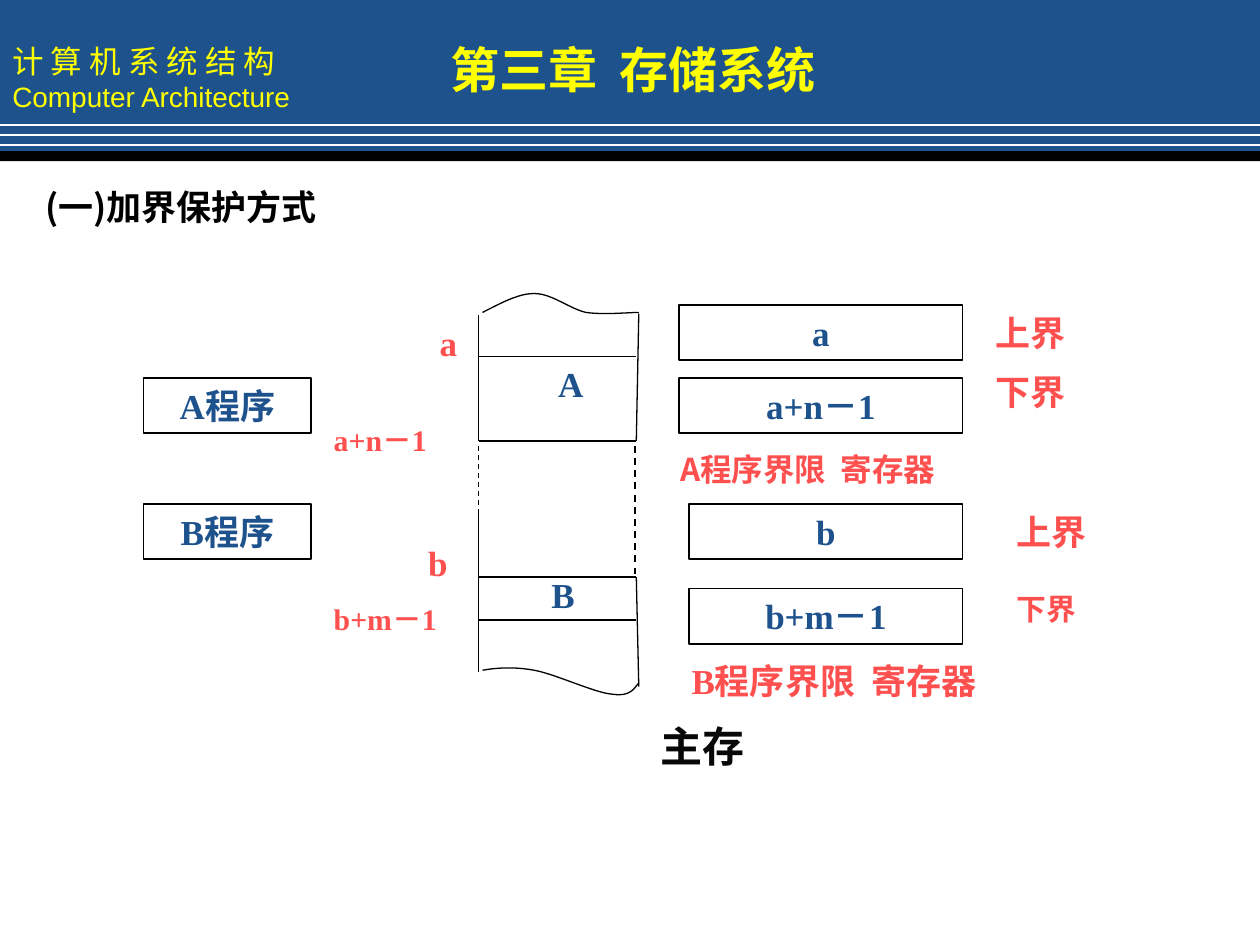
from lxml.etree import SubElement
from pptx import Presentation
from pptx.dml.color import RGBColor
from pptx.enum.dml import MSO_LINE_DASH_STYLE as Dash
from pptx.enum.shapes import MSO_CONNECTOR as Connector, MSO_SHAPE as Shape
from pptx.enum.text import MSO_ANCHOR as Anchor, MSO_AUTO_SIZE as AutoSize, PP_ALIGN as Align
from pptx.oxml.ns import qn
from pptx.util import Inches, Pt

BLUE = RGBColor(0x1D, 0x52, 0x8D)
YELLOW = RGBColor(0xFF, 0xFF, 0x00)
RED = RGBColor(0xFF, 0x50, 0x50)
BLACK = RGBColor(0, 0, 0)
INK = RGBColor(8, 8, 8)
WHITE = RGBColor(0xFF, 0xFF, 0xFF)
CJK, SERIF, SANS = "Noto Sans CJK SC", "Times New Roman", "Arial"

WIDTH, HEIGHT = 10, 7.5
LEFT, RIGHT, EDGE = 3.8, 5.05, 5.07
A_TOP, A_END, B_TOP, B_END = 2.83, 3.5, 4.58, 4.92
BOX_HEIGHT = 0.44

COURSE = [("计 算 机 系 统 结 构", 18, CJK), ("Computer Architecture", 16, SANS)]
TITLE = "第三章  存储系统"
HEADER_RULES = [0.99, 1.07, 1.15]

BOXES = [
    ("A程序", 1.14, 3, 1.33),
    ("B程序", 1.14, 4, 1.33),
    ("a", 5.39, 2.42, 2.25),
    ("a+n－1", 5.39, 3, 2.25),
    ("b", 5.47, 4, 2.17),
    ("b+m－1", 5.47, 4.67, 2.17),
]
LABELS = [
    ("(一)加界保护方式", (0.26, 1.42, 5.91, 0.44), dict(font=CJK, color=BLACK)),
    ("主存", (5.14, 5.67, 0.92, 0.5), dict(size=24, color=INK)),
    ("A", (4.22, 2.83, 0.62, 0.51), dict(color=BLUE, align=Align.CENTER)),
    ("B", (4.22, 4.5, 0.5, 0.44), dict(color=BLUE, align=Align.CENTER)),
    ("a", (3.39, 2.5, 0.33, 0.51), {}),
    ("a+n－1", (2.55, 3.33, 1.17, 0.42), dict(size=17, spacing=0.9)),
    ("b", (3.3, 4.25, 0.42, 0.51), {}),
    ("b+m－1", (2.55, 4.75, 1.25, 0.42), dict(size=17, spacing=0.9)),
    ("上界", (7.8, 2.42, 1.03, 0.68), {}),
    ("下界", (7.8, 2.89, 1.03, 0.51), {}),
    ("上界", (7.97, 4, 1.03, 0.51), {}),
    ("下界", (7.97, 4.67, 1.03, 0.42), dict(size=17, spacing=0.9)),
    ("A程序界限  寄存器", (5.3, 3.58, 2.58, 0.34), dict(size=18, font=CJK, spacing=0.8)),
    ("B程序界限  寄存器", (5.39, 5.25, 2.58, 0.37), dict(spacing=0.8)),
]
DIVIDERS = [A_TOP, A_END, B_TOP, B_END]
SIDES = [
    (LEFT, 2.5, LEFT, A_TOP),
    (LEFT, A_TOP, LEFT, A_END),
    (LEFT, 4.08, LEFT, B_END),
    (LEFT, B_END, LEFT, 5.33),
    (EDGE, 2.49, RIGHT, A_END),
    (RIGHT, B_TOP, EDGE, 5.45),
]
DASHED_SIDES = [(LEFT, 0.75), (5.04, 1)]
TORN_EDGES = [
    [(3.83, 2.48), (3.97, 2.41), (4.11, 2.33), (4.24, 2.33), (4.38, 2.33),
     (4.52, 2.45), (4.65, 2.48), (4.79, 2.5), (5, 2.48), (EDGE, 2.48)],
    [(3.83, 5.32), (3.95, 5.3), (4.07, 5.29), (4.24, 5.32), (4.41, 5.35),
     (4.72, 5.5), (4.86, 5.51), (5, 5.53), (5.03, 5.47), (EDGE, 5.42)],
]

deck = Presentation()
deck.slide_width, deck.slide_height = Inches(WIDTH), Inches(HEIGHT)
page = deck.slides.add_slide(deck.slide_layouts[5])


def write(para, text, size=20, font=SERIF, color=RED, bold=True, align=Align.LEFT, spacing=None):
    para.alignment = align
    if spacing:
        para.line_spacing = spacing
    span = para.add_run()
    span.text = text
    span.font.size, span.font.bold, span.font.name = Pt(size), bold, font
    span.font.color.rgb = color
    SubElement(span.font._element, qn("a:ea")).set("typeface", CJK)


def prepare(box, anchor=Anchor.TOP):
    frame = box.text_frame
    frame.word_wrap, frame.auto_size = True, AutoSize.NONE
    frame.vertical_anchor = anchor
    return frame.paragraphs[0]


def add_box(place, fill=None, line=None):
    box = page.shapes.add_shape(Shape.RECTANGLE, *map(Inches, place))
    box.shadow.inherit = False
    if fill is None:
        box.fill.background()
    else:
        box.fill.solid()
        box.fill.fore_color.rgb = fill
    if line is None:
        box.line.fill.background()
    else:
        box.line.color.rgb, box.line.width = line, Pt(1)
    return box


def add_line(ends, width=1, color=BLACK, dash=None):
    line = page.shapes.add_connector(Connector.STRAIGHT, *map(Inches, ends))
    line.line.color.rgb, line.line.width = color, Pt(width)
    if dash:
        line.line.dash_style = dash
    SubElement(line._element.spPr, qn("a:effectLst"))


def curve_points(knots, steps=12):
    for first in range(0, len(knots) - 1, 3):
        p0, p1, p2, p3 = knots[first:first + 4]
        for step in range(1, steps + 1):
            t = step / steps
            u = 1 - t
            yield tuple(
                Inches(u**3 * a + 3 * u * u * t * b + 3 * u * t * t * c + t**3 * d)
                for a, b, c, d in zip(p0, p1, p2, p3)
            )


def add_curve(knots):
    builder = page.shapes.build_freeform(*map(Inches, knots[0]))
    builder.add_line_segments(list(curve_points(knots)), close=False)
    curve = builder.convert_to_shape()
    curve.shadow.inherit = False
    curve.fill.background()
    curve.line.color.rgb, curve.line.width = BLACK, Pt(0.75)


header = add_box((0, 0, WIDTH, 1.23), fill=BLUE)
para = prepare(header, Anchor.MIDDLE)
for index, (text, size, font) in enumerate(COURSE):
    if index:
        para = header.text_frame.add_paragraph()
    write(para, text, size=size, font=font, color=YELLOW, bold=False)
add_box((0, 1.2, WIDTH, 0.08), fill=BLACK)
for y in HEADER_RULES:
    add_line((0, y, WIDTH, y), color=WHITE)

for text, place, look in LABELS:
    label = page.shapes.add_textbox(*map(Inches, place))
    write(prepare(label), text, **look)
for text, x, y, width in BOXES:
    box = add_box((x, y, width, BOX_HEIGHT), line=BLACK)
    write(prepare(box), text, color=BLUE, align=Align.CENTER)

for y in DIVIDERS:
    add_line((LEFT, y, RIGHT, y))
for ends in SIDES:
    add_line(ends, width=0.75)
for x, width in DASHED_SIDES:
    add_line((x, 3.54, x, 4.56), width=width, dash=Dash.DASH)
for knots in TORN_EDGES:
    add_curve(knots)

title = page.shapes.title
title.left, title.top, title.width, title.height = map(Inches, (3.22, 0.18, 3.61, 0.65))
title.fill.solid()
title.fill.fore_color.rgb = BLUE
write(prepare(title, Anchor.BOTTOM), TITLE, size=28, font=CJK, color=YELLOW, align=Align.CENTER)
page.shapes.element.append(title.element)

deck.save("out.pptx")
